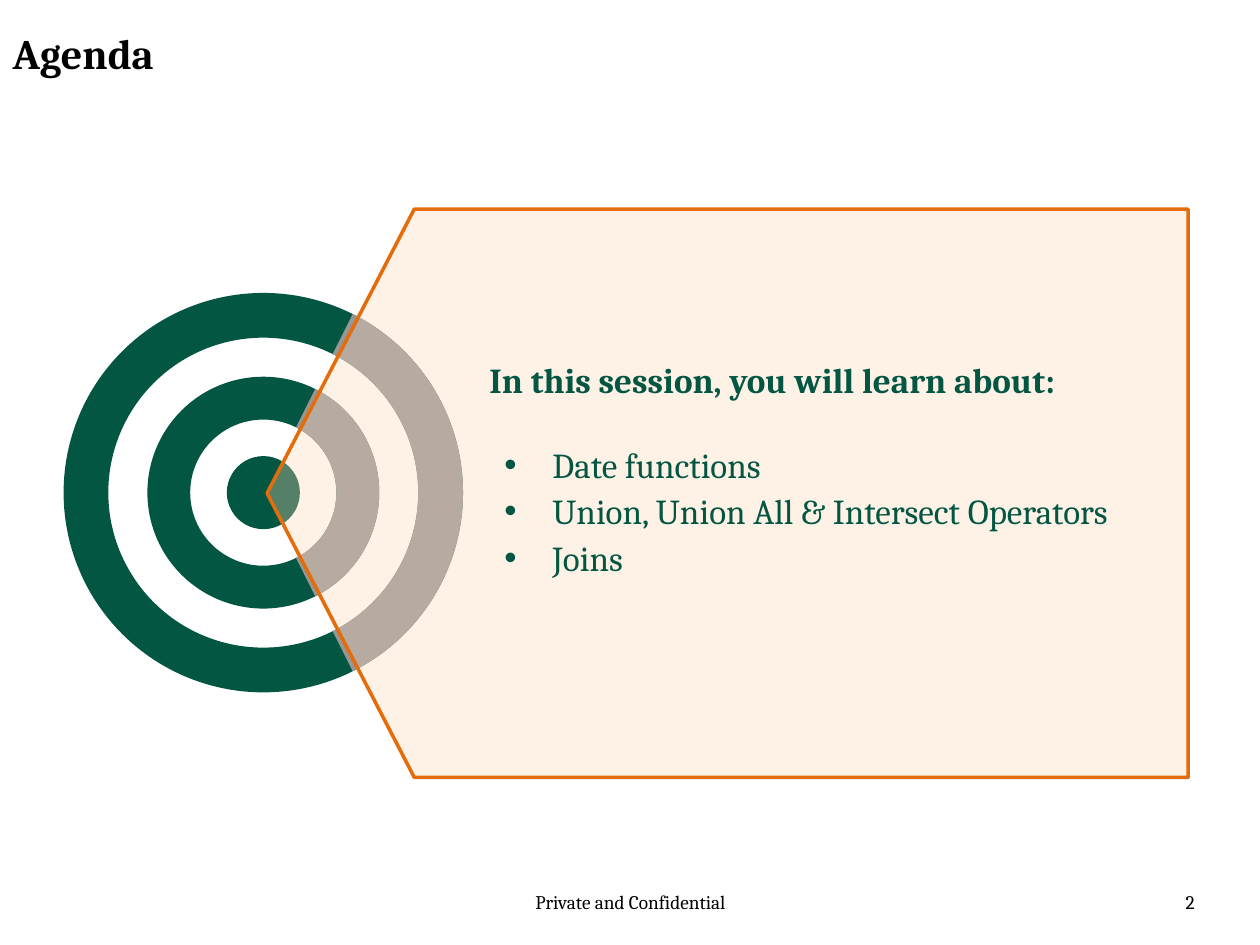
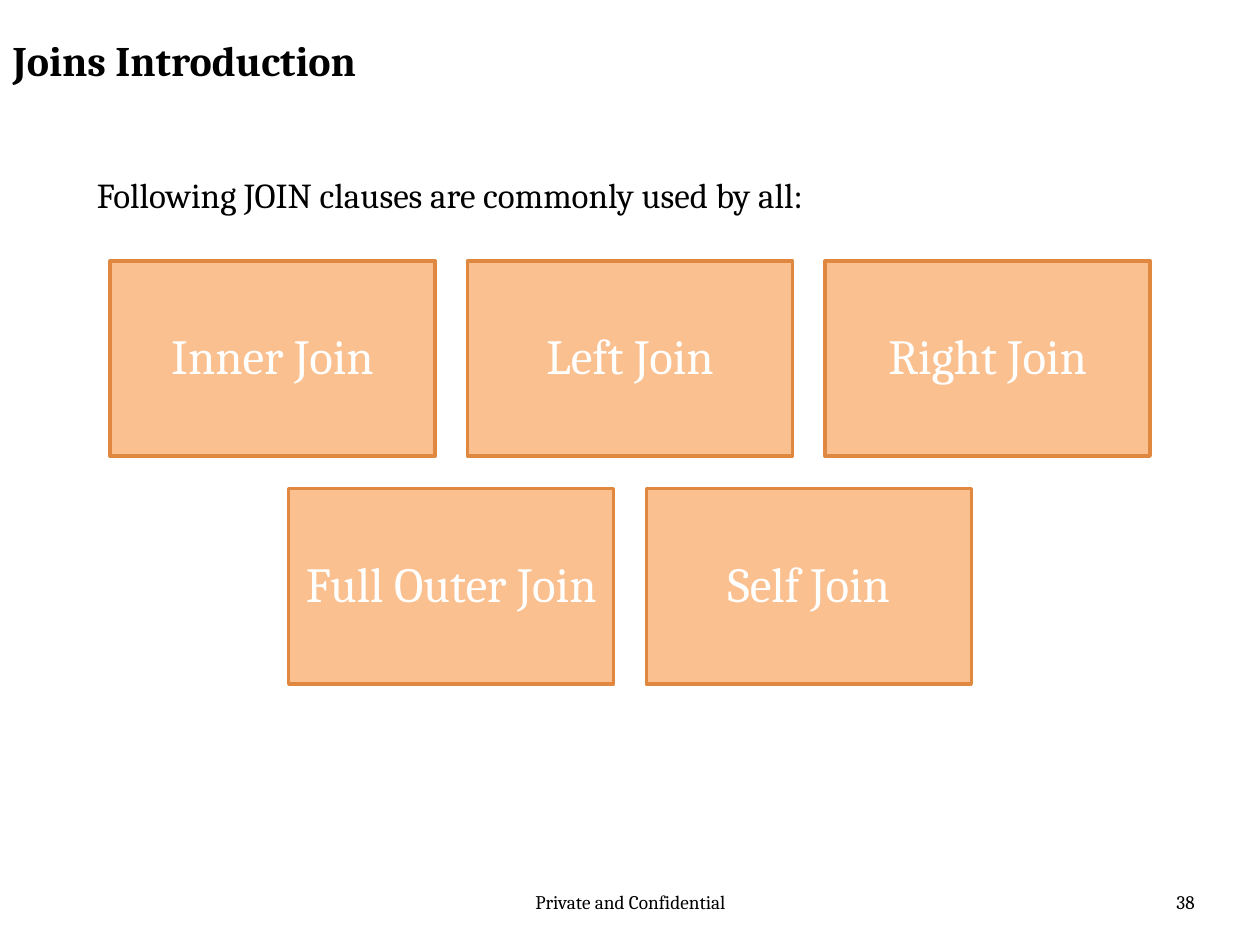
from lxml.etree import SubElement
from pptx import Presentation
from pptx.dml.color import RGBColor
from pptx.enum.shapes import MSO_SHAPE
from pptx.enum.text import MSO_ANCHOR, MSO_AUTO_SIZE, PP_ALIGN
from pptx.oxml.ns import qn
from pptx.util import Inches, Pt

AGENDA_TITLE = "Agenda"
AGENDA_LEAD = "In this session, you will learn about: "
AGENDA_TOPICS = ["Date functions", "Union, Union All & Intersect Operators", "Joins"]
JOINS_TITLE = "Joins Introduction"
JOINS_LEAD = "Following JOIN clauses are commonly used by all:"
JOIN_ROWS = [
    ["Inner Join", "Left Join", "Right Join"],
    ["Full Outer Join", "Self Join"],
]
FOOTER = "Private and Confidential"

FONT = "Cambria"
BLACK = RGBColor(0, 0, 0)
WHITE = RGBColor(0xFF, 0xFF, 0xFF)
GREEN = RGBColor(0x03, 0x56, 0x42)
GREY = RGBColor(0x96, 0x96, 0x96)
PEACH = RGBColor(0xFC, 0xD5, 0xB5)
ORANGE = RGBColor(0xE4, 0x6C, 0x0A)
CARD_FILL = RGBColor(0xFA, 0xC0, 0x90)
CARD_LINE = RGBColor(0xE0, 0x88, 0x40)

COLUMNS, ROWS = 100, 75
TARGET_CENTRE = (20.9, 39.1)
BULLSEYE = 5.8
RINGS = [(18.4, 3.4), (31.7, 3.55)]
WEDGE_ANGLE = 63.4
CARD_WIDTH, CARD_HEIGHT, CARD_GAP, CARDS_TOP = 25.8, 15.5, 2.58, 20.7

deck = Presentation()
deck.slide_width, deck.slide_height = Inches(10), Inches(7.5)


def place(left, top, width, height):
    column, row = deck.slide_width / COLUMNS, deck.slide_height / ROWS
    return int(left * column), int(top * row), int(width * column), int(height * row)


def write(paragraph, text, size, color, bold=False, align=PP_ALIGN.LEFT):
    paragraph.alignment = align
    run = paragraph.add_run()
    run.text = text
    run.font.name, run.font.size, run.font.bold = FONT, Pt(size), bold
    run.font.color.rgb = color


def add_label(slide, area, text, size, align=PP_ALIGN.LEFT):
    frame = slide.shapes.add_textbox(*place(*area)).text_frame
    frame.word_wrap = True
    write(frame.paragraphs[0], text, size, BLACK, align=align)


def add_figure(slide, preset, area, fill, line=None):
    figure = slide.shapes.add_shape(preset, *place(*area))
    figure.shadow.inherit = False
    figure.fill.solid()
    figure.fill.fore_color.rgb = fill
    if line is None:
        figure.line.fill.background()
    else:
        figure.line.color.rgb, figure.line.width = line, Pt(2)
    return figure


def add_round(slide, preset, diameter, fill):
    x, y = TARGET_CENTRE
    area = (x - diameter / 2, y - diameter / 2, diameter, diameter)
    return add_figure(slide, preset, area, fill)


def start_slide(title, title_top, number):
    slide = deck.slides.add_slide(deck.slide_layouts[5])
    heading = slide.shapes.title
    heading.left, heading.top, heading.width, heading.height = place(0, title_top, 75.9, 6.2)
    frame = heading.text_frame
    frame.vertical_anchor, frame.auto_size = MSO_ANCHOR.TOP, MSO_AUTO_SIZE.NONE
    write(frame.paragraphs[0], title, 24, BLACK, bold=True)
    add_label(slide, (34.2, 70.2, 31.7, 4), FOOTER, 11, PP_ALIGN.CENTER)
    add_label(slide, (72.5, 70.2, 23.3, 4), number, 11, PP_ALIGN.RIGHT)
    return slide


def add_bullet(paragraph):
    properties = paragraph._p.get_or_add_pPr()
    properties.set("marL", str(Inches(0.5)))
    properties.set("indent", str(Inches(-0.38)))
    SubElement(properties, qn("a:buFont"), typeface="Arial")
    SubElement(properties, qn("a:buChar"), char="•")


agenda = start_slide(AGENDA_TITLE, 1.7, "2")
add_round(agenda, MSO_SHAPE.OVAL, BULLSEYE, GREEN)
for diameter, thickness in RINGS:
    ring = add_round(agenda, MSO_SHAPE.DONUT, diameter, GREEN)
    ring.adjustments[0] = thickness / diameter
for diameter, thickness in RINGS:
    wedge = add_round(agenda, MSO_SHAPE.BLOCK_ARC, diameter, GREY)
    wedge.adjustments[0] = (360 - WEDGE_ANGLE) * 0.6
    wedge.adjustments[1] = WEDGE_ANGLE * 0.6
    wedge.adjustments[2] = thickness / diameter

panel = add_figure(agenda, MSO_SHAPE.PENTAGON, (21.2, 16.6, 73.1, 45.1), PEACH, ORANGE)
panel.adjustments[0] = 0.259
panel._element.spPr.find(qn("a:xfrm")).set("flipH", "1")
panel_color = panel._element.spPr.find(qn("a:solidFill")).find(qn("a:srgbClr"))
SubElement(panel_color, qn("a:alpha"), val="33000")
panel_text = panel.text_frame
panel_text.word_wrap, panel_text.vertical_anchor = True, MSO_ANCHOR.MIDDLE
panel_text.margin_left, panel_text.margin_right = Inches(1.18), Inches(0.08)
panel_text.margin_top, panel_text.margin_bottom = 0, Inches(0.36)
lead = panel_text.paragraphs[0]
lead.line_spacing, lead.space_after = 0.9, Pt(22)
write(lead, AGENDA_LEAD, 20, GREEN, bold=True)
for topic in AGENDA_TOPICS:
    entry = panel_text.add_paragraph()
    entry.line_spacing = 1.1
    write(entry, topic, 20, GREEN)
    add_bullet(entry)

joins = start_slide(JOINS_TITLE, 2.2, "38")
for row, names in enumerate(JOIN_ROWS):
    row_width = len(names) * (CARD_WIDTH + CARD_GAP) - CARD_GAP
    top = CARDS_TOP + row * (CARD_HEIGHT + CARD_GAP)
    for column, name in enumerate(names):
        left = (COLUMNS - row_width) / 2 + column * (CARD_WIDTH + CARD_GAP)
        area = (left, top, CARD_WIDTH, CARD_HEIGHT)
        card = add_figure(joins, MSO_SHAPE.RECTANGLE, area, CARD_FILL, CARD_LINE)
        frame = card.text_frame
        frame.word_wrap, frame.vertical_anchor = True, MSO_ANCHOR.MIDDLE
        frame.margin_left = frame.margin_right = Inches(0.12)
        frame.margin_top = frame.margin_bottom = Inches(0.12)
        frame.paragraphs[0].line_spacing = 0.9
        write(frame.paragraphs[0], name, 28, WHITE, align=PP_ALIGN.CENTER)
add_label(joins, (6.7, 13.3, 79.2, 4.4), JOINS_LEAD, 20)

deck.save("out.pptx")
